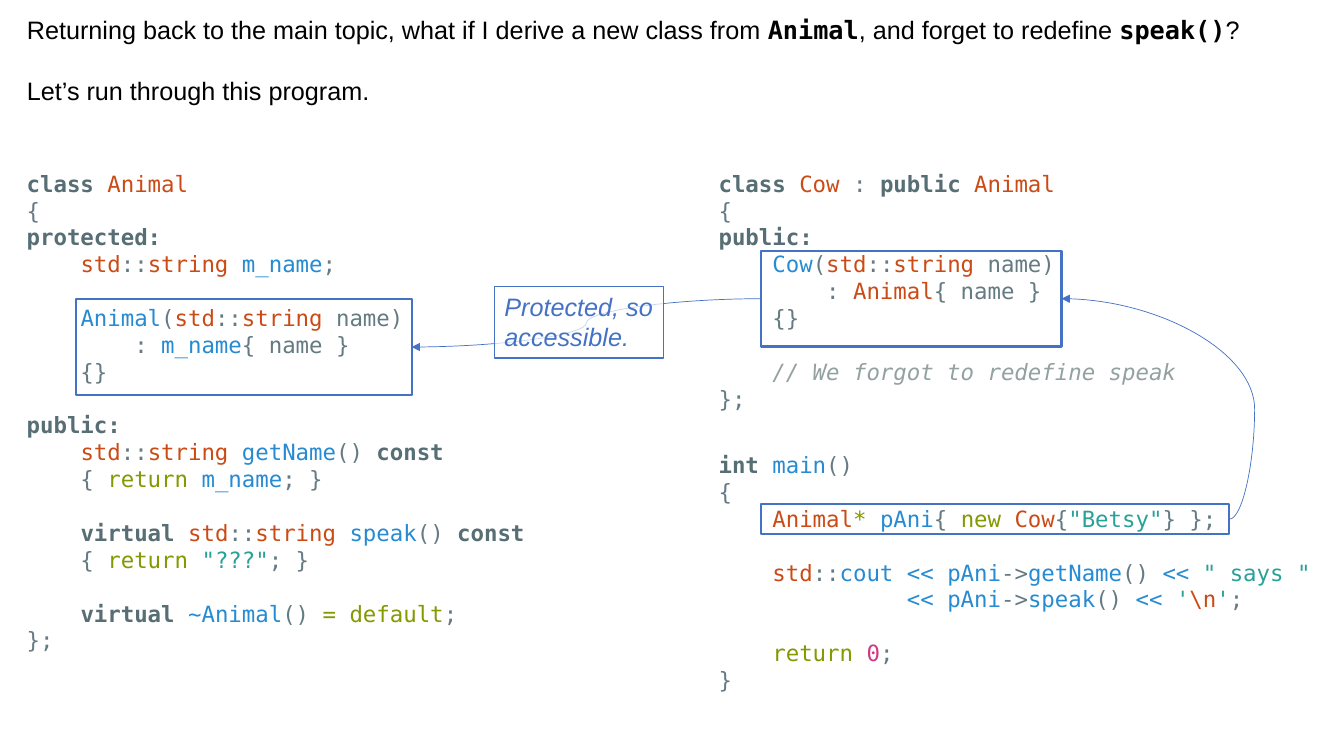
from lxml.etree import SubElement
from pptx import Presentation
from pptx.dml.color import RGBColor
from pptx.enum.shapes import MSO_CONNECTOR, MSO_SHAPE
from pptx.enum.text import MSO_ANCHOR, MSO_AUTO_SIZE, PP_ALIGN
from pptx.oxml.ns import qn
from pptx.util import Emu, Pt

PX = 9525
SANS, MONO = "Arial", "DejaVu Sans Mono"
BLACK = RGBColor(0x00, 0x00, 0x00)
WHITE = RGBColor(0xFF, 0xFF, 0xFF)
BLUE = RGBColor(0x44, 0x72, 0xC4)
SLATE = RGBColor(0x58, 0x6E, 0x75)
GREY = RGBColor(0x65, 0x7B, 0x83)
ORANGE = RGBColor(0xCB, 0x4B, 0x16)
SKY = RGBColor(0x26, 0x8B, 0xD2)
GREEN = RGBColor(0x85, 0x99, 0x00)
TEAL = RGBColor(0x2A, 0xA1, 0x98)
ASH = RGBColor(0x93, 0xA1, 0xA1)
PINK = RGBColor(0xD3, 0x36, 0x82)

CODE = {"name": MONO, "size": Pt(16), "bold": False, "italic": False}
PROSE = {"name": SANS, "size": Pt(18), "bold": False, "italic": False}
INKS = {
    "p": (GREY, CODE),
    "k": (SLATE, CODE | {"bold": True}),
    "t": (ORANGE, CODE),
    "n": (SKY, CODE),
    "g": (GREEN, CODE),
    "s": (TEAL, CODE),
    "d": (PINK, CODE),
    "c": (ASH, CODE | {"italic": True}),
    "b": (BLACK, PROSE),
    "m": (BLACK, PROSE | {"name": MONO, "bold": True}),
    "i": (BLUE, PROSE | {"italic": True}),
}

INTRO = """|bReturning back to the main topic, what if I derive a new class from |mAnimal|b, and forget to redefine |mspeak()|b?

|bLet’s run through this program."""

ANIMAL = """|kclass |tAnimal
{
|kprotected:
    |tstd|p::|tstring |nm_name|p;

    |nAnimal|p(|tstd|p::|tstring|p name)
        : |nm_name|p{ name }
    {}

|kpublic:
    |tstd|p::|tstring |ngetName|p() |kconst
    { |greturn |nm_name|p; }

    |kvirtual |tstd|p::|tstring |nspeak|p() |kconst
    { |greturn |s"???"|p; }

    |kvirtual |n~Animal|p() |g= default|p;
};"""

COW = """|kclass |tCow|p : |kpublic |tAnimal
{
|kpublic:
    |nCow|p(|tstd|p::|tstring|p name)
        : |tAnimal|p{ name }
    {}

|c    // We forgot to redefine speak
};"""

MAIN = r"""|kint |nmain|p()
{
    |tAnimal|g* |npAni|p{ |gnew |tCow|p{|s"Betsy"|p} };

    |tstd|p::|ncout << pAni|p->|ngetName|p() |n<< |s" says "
              |n<< pAni|p->|nspeak|p() |n<< |s'|t\n|s'|p;

    |greturn |d0|p;
}"""


def scale(*sizes):
    return [Emu(size * PX) for size in sizes]


def apply(target, values):
    for name, value in values.items():
        setattr(target, name, value)


def add_run(para, ink, text):
    run = para.add_run()
    run.text = text
    color, values = INKS[ink]
    apply(run.font, values)
    run.font.color.rgb = color


def write(frame, text, pitch):
    apply(frame, {"word_wrap": True, "auto_size": MSO_AUTO_SIZE.NONE,
                  "vertical_anchor": MSO_ANCHOR.TOP})
    para, gap = frame.paragraphs[0], 0
    for row, line in enumerate(text.split("\n")):
        if not line:
            gap = pitch
            continue
        if row:
            para = frame.add_paragraph()
        apply(para, {"alignment": PP_ALIGN.LEFT, "line_spacing": Pt(pitch),
                     "space_before": Pt(gap)})
        gap = 0
        plain, *parts = line.split("|")
        if plain:
            add_run(para, "p", plain)
        for part in parts:
            add_run(para, part[0], part[1:])


def add_code(slide, text, *place):
    box = slide.shapes.add_textbox(*scale(*place))
    write(box.text_frame, text, 19.2)


def add_frame(slide, width, *place):
    box = slide.shapes.add_shape(MSO_SHAPE.RECTANGLE, *scale(*place))
    box.shadow.inherit = False
    box.fill.background()
    box.line.color.rgb = BLUE
    box.line.width = Pt(width)
    return box


def add_note(slide, text, *place):
    box = add_frame(slide, 0.75, *place)
    box.fill.solid()
    box.fill.fore_color.rgb = WHITE
    color = box._element.spPr.find(qn("a:solidFill"))[0]
    SubElement(color, qn("a:alpha"), val="70000")
    write(box.text_frame, text, 21.4)
    apply(box.text_frame, {"margin_right": 0})


def add_curve(slide, start, out, end, into, bend):
    curve = slide.shapes.add_connector(MSO_CONNECTOR.CURVE, 0, 0, 0, 0)
    curve.begin_connect(start, out)
    curve.end_connect(end, into)
    curve.line.color.rgb = BLUE
    curve.line.width = Pt(0.5)
    props = curve._element.spPr
    SubElement(props.find(qn("a:ln")), qn("a:tailEnd"), type="triangle")
    SubElement(props, qn("a:effectLst"))
    guides = props.find(qn("a:prstGeom")).find(qn("a:avLst"))
    SubElement(guides, qn("a:gd"), name="adj1", fmla=f"val {bend}")


def main():
    deck = Presentation()
    deck.slide_width, deck.slide_height = scale(1280, 720)
    slide = deck.slides.add_slide(deck.slide_layouts[5])

    title = slide.shapes.title
    spots = scale(16, 9, 1247, 97)
    apply(title, dict(zip(("left", "top", "width", "height"), spots)))
    write(title.text_frame, INTRO, 21.8)

    add_code(slide, ANIMAL, 16, 157, 496, 475)
    add_code(slide, COW, 675, 157, 459, 246)
    add_code(slide, MAIN, 675, 425, 588, 242)

    call = add_frame(slide, 1.5, 725, 480, 446, 29)
    cow = add_frame(slide, 1.5, 725, 239, 286, 91)
    add_curve(slide, call, 3, cow, 3, -15000)
    base = add_frame(slide, 1.5, 72, 285, 320, 91)
    add_curve(slide, cow, 1, base, 3, 50000)
    add_note(slide, "|iProtected, so accessible.", 471, 273, 161, 68)

    deck.save("out.pptx")


if __name__ == "__main__":
    main()
